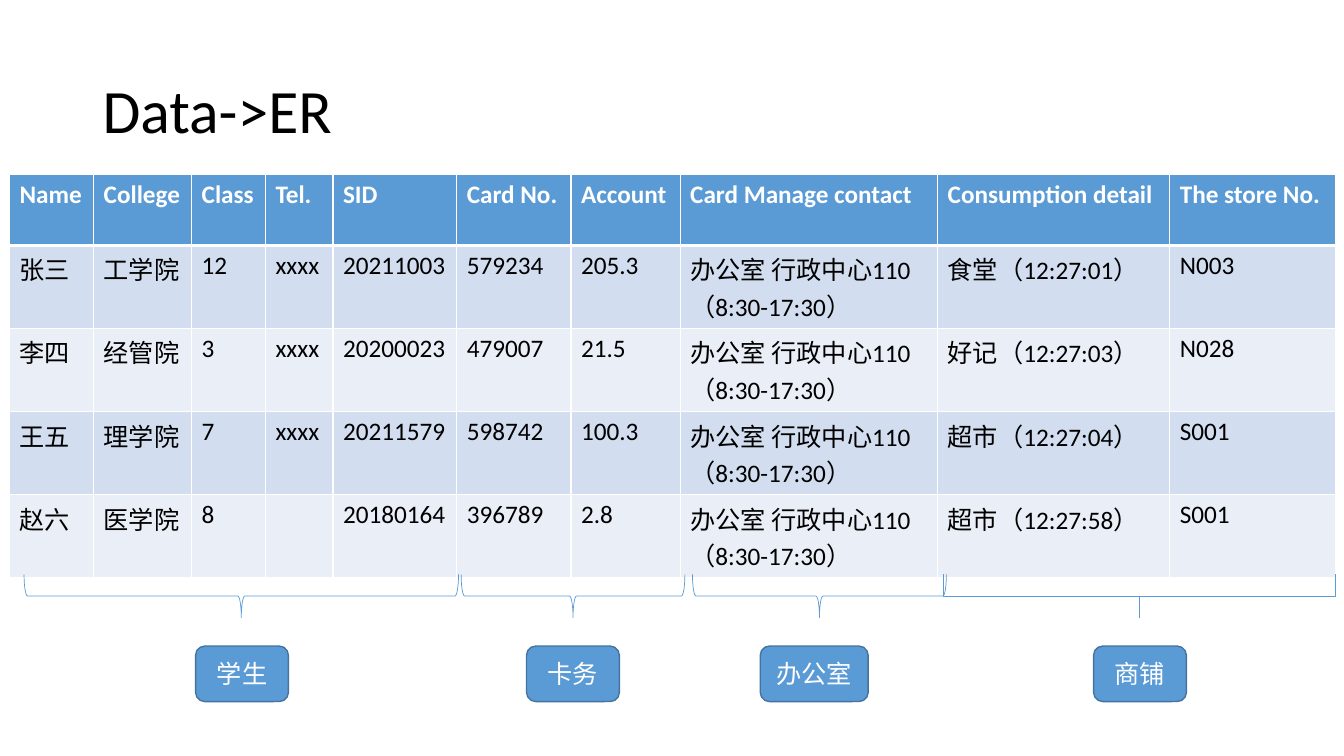
from lxml import etree
from pptx import Presentation
from pptx import util as u
from pptx.dml import color
from pptx.enum import shapes, text
from pptx.oxml import ns

BLUE, DARK_BLUE, WHITE, BLACK = "5B9BD5", "43739E", "FFFFFF", "000000"
BANDS = ("D2DEEF", "EAEFF7")


def rgb(value):
    return color.RGBColor.from_string(value)


class SlideBuilder:
    font = "Calibri"
    body_size = 18

    def __init__(self, slide):
        self.slide = slide

    def add_run(self, paragraph, words, colour, size=body_size, bold=False):
        run = paragraph.add_run()
        run.text = words
        run.font.name = self.font
        run.font.size = u.Pt(size)
        run.font.bold = bold
        run.font.color.rgb = rgb(colour)

    def title(self, words, left, top, width, height):
        shape = self.slide.shapes.title
        shape.left, shape.top = u.Cm(left), u.Cm(top)
        shape.width, shape.height = u.Cm(width), u.Cm(height)
        frame = shape.text_frame
        frame.auto_size = text.MSO_AUTO_SIZE.NONE
        frame.vertical_anchor = text.MSO_ANCHOR.MIDDLE
        paragraph = frame.paragraphs[0]
        paragraph.alignment = text.PP_ALIGN.LEFT
        paragraph.line_spacing = 0.9
        self.add_run(paragraph, words, BLACK, 44)

    def cell_borders(self, cell, top, bottom):
        properties = cell._tc.get_or_add_tcPr()
        for side, points in (("L", 1), ("R", 1), ("T", top), ("B", bottom)):
            line = etree.SubElement(properties, ns.qn(f"a:ln{side}"), w=str(u.Pt(points)))
            fill = etree.SubElement(line, ns.qn("a:solidFill"))
            etree.SubElement(fill, ns.qn("a:srgbClr"), val=WHITE)

    def table(self, rows, column_widths, left, top, row_height):
        frame = self.slide.shapes.add_table(
            len(rows), len(column_widths), u.Cm(left), u.Cm(top),
            u.Cm(sum(column_widths)), u.Cm(row_height * len(rows)))
        table = frame.table
        for column, width in zip(table.columns, column_widths):
            column.width = u.Cm(width)
        for row_number, values in enumerate(rows):
            header = row_number == 0
            background = BLUE if header else BANDS[(row_number - 1) % 2]
            for column_number, value in enumerate(values):
                cell = table.cell(row_number, column_number)
                self.cell_borders(cell, 3 if row_number == 1 else 1, 3 if header else 1)
                cell.fill.solid()
                cell.fill.fore_color.rgb = rgb(background)
                if value:
                    self.add_run(cell.text_frame.paragraphs[0], value,
                                 WHITE if header else BLACK, bold=header)

    def brace(self, centre, middle, length, depth, curve):
        # The shape is turned a quarter, so its height runs across the slide
        shape = self.slide.shapes.add_shape(
            shapes.MSO_SHAPE.RIGHT_BRACE, u.Cm(centre - depth / 2),
            u.Cm(middle - length / 2), u.Cm(depth), u.Cm(length))
        shape.rotation = 90
        shape.adjustments[0] = curve
        shape.shadow.inherit = False
        shape.fill.background()
        shape.line.color.rgb = rgb(BLUE)
        shape.line.width = u.Pt(0.5)

    def entity(self, words, centre, top, width, height):
        shape = self.slide.shapes.add_shape(
            shapes.MSO_SHAPE.ROUNDED_RECTANGLE, u.Cm(centre - width / 2),
            u.Cm(top), u.Cm(width), u.Cm(height))
        shape.shadow.inherit = False
        shape.fill.solid()
        shape.fill.fore_color.rgb = rgb(BLUE)
        shape.line.color.rgb = rgb(DARK_BLUE)
        shape.line.width = u.Pt(1)
        frame = shape.text_frame
        frame.vertical_anchor = text.MSO_ANCHOR.MIDDLE
        paragraph = frame.paragraphs[0]
        paragraph.alignment = text.PP_ALIGN.CENTER
        self.add_run(paragraph, words, WHITE)


def main():
    presentation = Presentation()
    presentation.slide_width, presentation.slide_height = u.Cm(33.87), u.Cm(19.05)
    builder = SlideBuilder(presentation.slides.add_slide(presentation.slide_layouts[5]))

    # Title
    builder.title("Data->ER", 2.33, 1.01, 29.21, 3.68)

    # Card records
    office = "办公室 行政中心110（8:30-17:30）"
    records = [
        ("Name", "College", "Class", "Tel.", "SID", "Card No.", "Account",
         "Card Manage contact", "Consumption detail", "The store No."),
        ("张三", "工学院", "12", "xxxx", "20211003", "579234", "205.3",
         office, "食堂（12:27:01）", "N003"),
        ("李四", "经管院", "3", "xxxx", "20200023", "479007", "21.5",
         office, "好记（12:27:03）", "N028"),
        ("王五", "理学院", "7", "xxxx", "20211579", "598742", "100.3",
         office, "超市（12:27:04）", "S001"),
        ("赵六", "医学院", "8", "", "20180164", "396789", "2.8",
         office, "超市（12:27:58）", "S001"),
    ]
    column_widths = (2.12, 2.47, 1.86, 1.7, 3.12, 2.88, 2.75, 6.49, 5.85, 4.19)
    builder.table(records, column_widths, 0.24, 4.4, 1.79)

    # Braces: centre, length, curve
    for centre, length, curve in ((6.08, 10.95, 0.08), (14.44, 5.64, 0.08),
                                  (20.65, 6.4, 0.08), (28.72, 9.88, 0)):
        builder.brace(centre, 15.02, length, 1.09, curve)

    # Entities: name, centre, width
    for name, centre, width in (("学生", 6.1, 2.34), ("卡务", 14.44, 2.34),
                                ("办公室", 20.52, 2.72), ("商铺", 28.73, 2.34)):
        builder.entity(name, centre, 16.28, width, 1.4)

    presentation.save("out.pptx")


if __name__ == "__main__":
    main()
